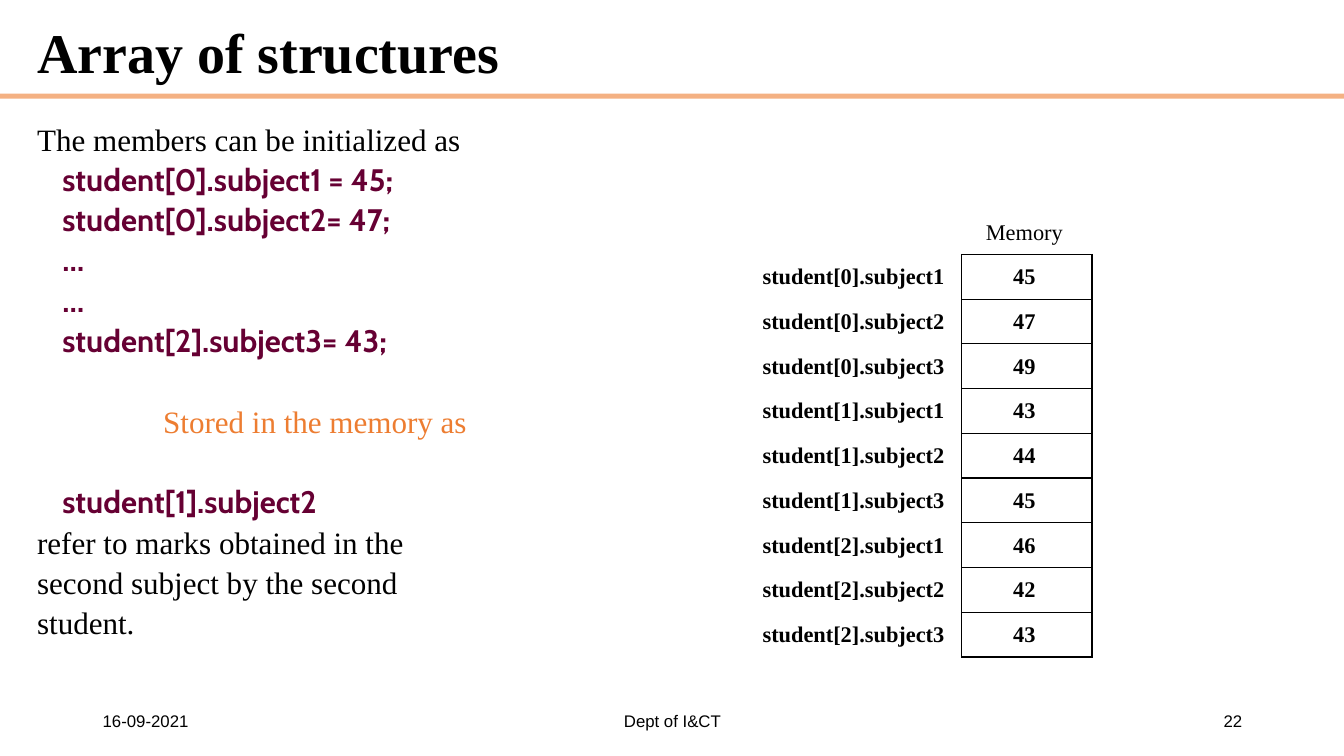
from dataclasses import dataclass
from lxml.etree import SubElement
from pptx import Presentation
from pptx.dml.color import RGBColor
from pptx.enum.shapes import MSO_SHAPE
from pptx.enum.text import MSO_ANCHOR, PP_ALIGN
from pptx.oxml.ns import qn
from pptx.util import Inches, Pt


@dataclass(frozen=True)
class Theme:
    black: str = "000000"
    code: str = "660033"
    accent: str = "ED7D31"
    rule: str = "F4B183"
    serif: str = "Times New Roman"
    rounded: str = "Cabin"
    sans: str = "Arial"
    title_size: float = 40
    body_size: float = 22.2
    table_size: float = 16
    footer_size: float = 12


def apply_format(target, values):
    for name, value in values.items():
        setattr(target, name, value)


class SlideBuilder:
    def __init__(self, slide, theme):
        self.slide = slide
        self.theme = theme

    def font(self, paragraph, name, size, color, bold=False):
        apply_format(paragraph.font, {"name": name, "size": Pt(size), "bold": bold})
        paragraph.font.color.rgb = RGBColor.from_string(color)

    def rule(self, left, top, width, height):
        shape = self.slide.shapes.add_shape(
            MSO_SHAPE.RECTANGLE, Inches(left), Inches(top), Inches(width), Inches(height))
        shape.shadow.inherit = False
        shape.fill.solid()
        shape.fill.fore_color.rgb = RGBColor.from_string(self.theme.rule)
        shape.line.fill.background()

    def text_frame(self, left, top, width, height, anchor=MSO_ANCHOR.MIDDLE):
        box = self.slide.shapes.add_textbox(
            Inches(left), Inches(top), Inches(width), Inches(height))
        apply_format(box.text_frame, {"word_wrap": True, "vertical_anchor": anchor})
        return box.text_frame

    def label(self, text, bounds, name, size, bold=False, **layout):
        paragraph = self.text_frame(*bounds).paragraphs[0]
        paragraph.text = text
        apply_format(paragraph, layout)
        self.font(paragraph, name, size, self.theme.black, bold)

    def body(self, lines, bounds):
        theme = self.theme
        styles = {
            "plain": (0, theme.serif, theme.black, False),
            "code": (0.25, theme.rounded, theme.code, True),
            "note": (1.25, theme.serif, theme.accent, False),
        }
        frame = self.text_frame(*bounds, anchor=MSO_ANCHOR.TOP)
        for index, (kind, text, space) in enumerate(lines):
            indent, name, color, bold = styles[kind]
            paragraph = frame.add_paragraph() if index else frame.paragraphs[0]
            paragraph.text = text
            properties = paragraph._p.get_or_add_pPr()
            properties.set("marL", str(Inches(indent)))
            properties.set("indent", "0")
            apply_format(paragraph, {"line_spacing": Pt(18.8), "space_before": Pt(space)})
            self.font(paragraph, name, theme.body_size, color, bold)

    def borders(self, cell, sides):
        properties = cell._tc.get_or_add_tcPr()
        for side in "LRTB":
            line = SubElement(properties, qn(f"a:ln{side}"), w=str(Pt(1)))
            if side in sides:
                fill = SubElement(line, qn("a:solidFill"))
                SubElement(fill, qn("a:srgbClr"), val=self.theme.black)
            else:
                SubElement(line, qn("a:noFill"))

    def table(self, rows, left, top, column_widths, row_height):
        table = self.slide.shapes.add_table(
            len(rows), len(column_widths), Inches(left), Inches(top),
            Inches(sum(column_widths)), Inches(row_height * len(rows))).table
        apply_format(table, {"first_row": False, "horz_banding": False})
        for column, width in zip(table.columns, column_widths):
            column.width = Inches(width)
        for row_index, values in enumerate(rows):
            table.rows[row_index].height = Inches(row_height)
            sides = ("R", "LRTB") if row_index else ("", "B")
            for column_index, text in enumerate(values):
                cell = table.cell(row_index, column_index)
                self.borders(cell, sides[column_index])
                cell.fill.background()
                apply_format(cell, {
                    "vertical_anchor": MSO_ANCHOR.MIDDLE,
                    "margin_left": Inches(0.07),
                    "margin_right": Inches(0.12 if column_index else 0.07),
                    "margin_top": Inches(0.01), "margin_bottom": 0})
                paragraph = cell.text_frame.paragraphs[0]
                paragraph.text = text
                paragraph.alignment = PP_ALIGN.CENTER
                self.font(paragraph, self.theme.serif, self.theme.table_size,
                          self.theme.black, row_index > 0)


def main():
    presentation = Presentation()
    apply_format(presentation, {"slide_width": Inches(13.33), "slide_height": Inches(7.5)})
    theme = Theme()
    builder = SlideBuilder(presentation.slides.add_slide(presentation.slide_layouts[6]), theme)

    builder.rule(0, 0.93, 13.33, 0.05)
    builder.label("Array of structures", (0.27, 0.15, 12.15, 0.79), theme.serif,
                  theme.title_size, bold=True, line_spacing=0.9)

    line_gap, section_gap = 10, 38.8
    builder.body([
        ("plain", "The members can be initialized as", 0),
        ("code", "student[0].subject1 = 45;", line_gap),
        ("code", "student[0].subject2= 47;", line_gap),
        ("code", "…", line_gap),
        ("code", "…", line_gap),
        ("code", "student[2].subject3= 43;", line_gap),
        ("note", "Stored in the memory as", section_gap),
        ("code", "student[1].subject2", section_gap),
        ("plain", "refer to marks obtained in the", line_gap),
        ("plain", "second subject by the second", line_gap),
        ("plain", "student.", line_gap),
    ], (0.27, 1.25, 12.83, 5.6))

    for text, left, width, alignment in (
        ("16-09-2021", 0.92, 3, PP_ALIGN.LEFT),
        ("Dept of I&CT", 4.42, 4.5, PP_ALIGN.CENTER),
        ("22", 9.42, 3, PP_ALIGN.RIGHT),
    ):
        builder.label(text, (left, 6.95, width, 0.4), theme.sans,
                      theme.footer_size, alignment=alignment)

    marks = (45, 47, 49, 43, 44, 45, 46, 42, 43)
    memory = [(f"student[{index // 3}].subject{index % 3 + 1}", str(mark))
              for index, mark in enumerate(marks)]
    builder.table([("", "Memory"), *memory], 7.39, 2.08, (2.15, 1.29), 0.444)
    presentation.save("out.pptx")


if __name__ == "__main__":
    main()
